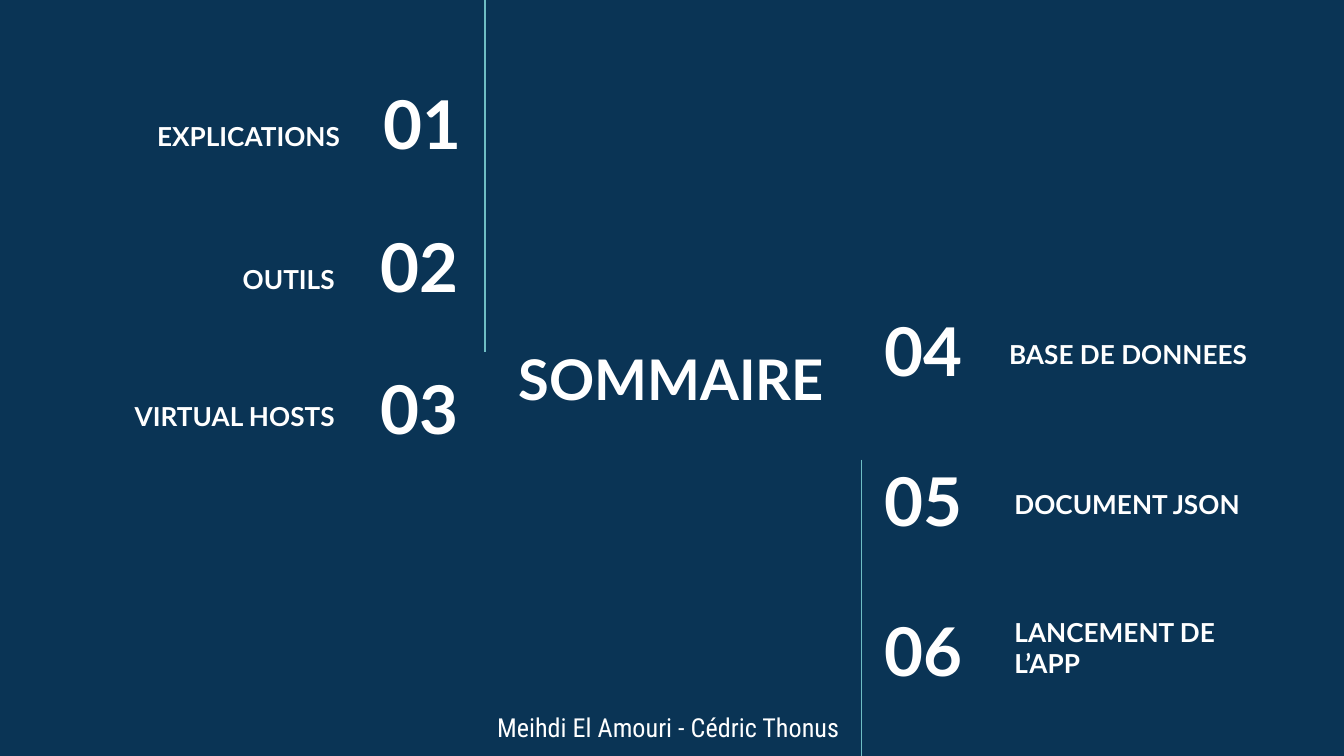
from lxml.etree import SubElement
from pptx import Presentation
from pptx.dml.color import RGBColor as Rgb
from pptx.enum.shapes import MSO_CONNECTOR as Link
from pptx.enum.text import MSO_ANCHOR as Anchor, PP_ALIGN as Align
from pptx.oxml.ns import qn
from pptx.util import Inches, Pt

HUES = {"navy": "0A3455", "white": "FFFFFF", "teal": "6EBDC4"}

deck = Presentation()
deck.slide_width, deck.slide_height = Inches(10), Inches(5.625)
# One column or row is a hundredth of the slide's width or height.
COL, ROW = deck.slide_width / 100, deck.slide_height / 100
slide = deck.slides.add_slide(deck.slide_layouts[6])
back = slide.background.fill
back.solid()
back.fore_color.rgb = Rgb.from_string(HUES["navy"])


def write(text, x, y, wide, high, size=14, face="Lato", bold=True,
          align=Align.LEFT, anchor=Anchor.MIDDLE):
    """Add a text box placed in columns and rows."""
    box = slide.shapes.add_textbox(
        int(x * COL), int(y * ROW), int(wide * COL), int(high * ROW))
    frame = box.text_frame
    frame.word_wrap = True
    frame.vertical_anchor = anchor
    frame.margin_left = frame.margin_right = Inches(0.1)
    frame.margin_top = frame.margin_bottom = Inches(0.1)
    para = frame.paragraphs[0]
    para.alignment = align
    run = para.add_run()
    run.text = text
    font = run.font
    font.size, font.name, font.bold = Pt(size), face, bold
    font.color.rgb = Rgb.from_string(HUES["white"])


write("Meihdi El Amouri - Cédric Thonus", 36, 92.27, 39.6, 6.6,
      face="Roboto Condensed", bold=False, anchor=Anchor.TOP)
write("SOMMAIRE", 37, 40.9, 25.9, 18.3, size=30, align=Align.CENTER)

# Vertical rules: column, first row, last row
for x, top, end in [(36.1, 0, 46.6), (64.1, 60.8, 100)]:
    rule = slide.shapes.add_connector(
        Link.STRAIGHT, int(x * COL), int(top * ROW), int(x * COL), int(end * ROW))
    rule.line.color.rgb = Rgb.from_string(HUES["teal"])
    rule.line.width = Pt(0.75)
    SubElement(rule.element.spPr, qn("a:effectLst"))

# Each side: alignment, first row, row step, number width,
# then entries of label, number column, label column, label lift
HIGH = 11.2
sides = [
    (Align.RIGHT, 10.67, 18.84, 12.1, [
        ("EXPLICATIONS", 23.2, 4.7, 0),
        ("OUTILS", 23, 4.3, 0),
        ("VIRTUAL HOSTS", 23, 4.3, 0.7)]),
    (Align.LEFT, 40.7, 19.83, 11.7, [
        ("BASE DE DONNEES", 64.8, 74.1, 1.25),
        ("DOCUMENT JSON", 64.8, 74.5, 1.25),
        ("LANCEMENT DE L’APP", 64.8, 74.5, 0)]),
]
count = 0
for align, top, step, wide, items in sides:
    for i, (label, left, start, lift) in enumerate(items):
        count += 1
        y = top + i * step
        write(f"{count:02}", left, y, wide, HIGH, size=36, align=align)
        write(label, start, y - lift, 21.6, HIGH, align=align,
              anchor=Anchor.BOTTOM)

deck.save("out.pptx")
